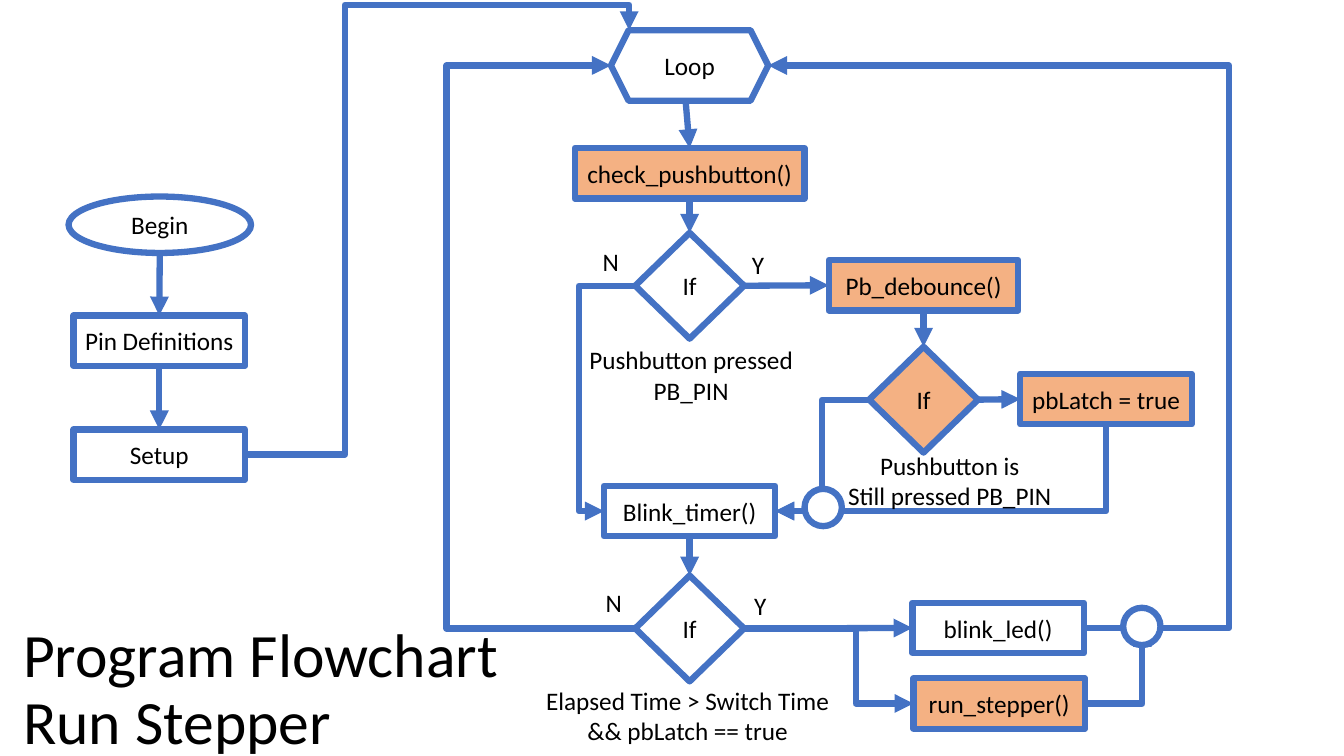
import pptx
import pptx.util
import pptx.dml.color
import pptx.enum.shapes
import pptx.enum.text
import pptx.oxml
import pptx.oxml.ns

Inches = pptx.util.Inches
Shape = pptx.enum.shapes.MSO_SHAPE
Kind = pptx.enum.shapes.MSO_CONNECTOR
Align = pptx.enum.text.PP_ALIGN
Anchor = pptx.enum.text.MSO_ANCHOR
AutoSize = pptx.enum.text.MSO_AUTO_SIZE
qn = pptx.oxml.ns.qn

COLORS = {"line": "4472C4", "plain": "FFFFFF", "stepper": "F4B183", "text": "000000"}
TOP, LEFT, BOTTOM, RIGHT = range(4)
GLUED = (Shape.RECTANGLE, Shape.DIAMOND)


def rgb(name):
    return pptx.dml.color.RGBColor.from_string(COLORS[name])


def side_point(node, side):
    """Middle of one side of a node."""
    across, down = {TOP: (0.5, 0), LEFT: (0, 0.5), BOTTOM: (0.5, 1), RIGHT: (1, 0.5)}[side]
    return int(node.left + across * node.width), int(node.top + down * node.height)


def corner_point(x, y):
    return Inches(x), Inches(y)


class Flowchart:
    font, size, weight = "Calibri", 18, 4.5

    def __init__(self, slide):
        self.slide = slide

    def add_lines(self, frame, lines, align):
        for number, line in enumerate(lines):
            paragraph = frame.paragraphs[0] if number == 0 else frame.add_paragraph()
            paragraph.alignment = align
            self.add_run(paragraph, line, self.size)

    def add_run(self, paragraph, words, size):
        run = paragraph.add_run()
        run.text = words
        run.font.name = self.font
        run.font.size = pptx.util.Pt(size)
        run.font.color.rgb = rgb("text")

    def title(self, lines, left, top, width, height):
        heading = self.slide.shapes.title
        heading.left, heading.top = Inches(left), Inches(top)
        heading.width, heading.height = Inches(width), Inches(height)
        frame = heading.text_frame
        frame.auto_size = AutoSize.NONE
        frame.vertical_anchor = Anchor.MIDDLE
        paragraph = frame.paragraphs[0]
        paragraph.alignment = Align.LEFT
        paragraph.line_spacing = 0.9
        for number, line in enumerate(lines):
            if number:
                paragraph.add_line_break()
            self.add_run(paragraph, line, 44)

    def node(self, label, left, top, width=1.7, height=0.5, outline=Shape.RECTANGLE, fill="plain"):
        node = self.slide.shapes.add_shape(
            outline, Inches(left), Inches(top), Inches(width), Inches(height))
        node.shadow.inherit = False
        node.fill.solid()
        node.fill.fore_color.rgb = rgb(fill)
        node.line.color.rgb = rgb("line")
        node.line.width = pptx.util.Pt(self.weight)
        if label:
            node.text_frame.vertical_anchor = Anchor.MIDDLE
            self.add_lines(node.text_frame, [label], Align.CENTER)
        return node

    def decision(self, left, top, fill="plain"):
        return self.node("If", left, top, 1.08, 1.05, Shape.DIAMOND, fill)

    def junction(self, left, top):
        return self.node("", left, top, 0.37, 0.37, Shape.OVAL)

    def caption(self, lines, left, top, width, height, align=Align.CENTER):
        box = self.slide.shapes.add_textbox(
            Inches(left), Inches(top), Inches(width), Inches(height))
        box.text_frame.word_wrap = False
        box.text_frame.auto_size = AutoSize.SHAPE_TO_FIT_TEXT
        self.add_lines(box.text_frame, lines, align)

    def arrow(self, start, end, bend=None, adjust=()):
        """Join two ends, each a (node, side) pair or a corner_point."""
        ends = [side_point(*e) if hasattr(e[0], "left") else e for e in (start, end)]
        link = self.slide.shapes.add_connector(
            Kind.ELBOW if bend else Kind.STRAIGHT, *ends[0], *ends[1])
        for (target, side), connect in ((start, link.begin_connect), (end, link.end_connect)):
            if hasattr(target, "left") and target.auto_shape_type in GLUED:
                connect(target, side)
        link.line.color.rgb = rgb("line")
        link.line.width = pptx.util.Pt(self.weight)
        properties = link._element.spPr
        head = pptx.oxml.parse_xml(f'<a:tailEnd {pptx.oxml.ns.nsdecls("a")} type="triangle"/>')
        properties.find(qn("a:ln")).append(head)
        properties.append(pptx.oxml.parse_xml(f'<a:effectLst {pptx.oxml.ns.nsdecls("a")}/>'))
        if bend:
            geometry = properties.find(qn("a:prstGeom"))
            geometry.set("prst", f"bentConnector{bend}")
            guides = geometry.find(qn("a:avLst"))
            for number, share in enumerate(adjust, 1):
                guides.append(guides.makeelement(qn("a:gd"), {
                    "name": f"adj{number}", "fmla": f"val {round(share * 100000)}"}))
        return link

    def arrow_down_left(self, start, end):
        """One corner: down first, then left, as a quarter turn."""
        link = self.arrow(start, end, 2)
        left, top, width, height = link.left, link.top, link.width, link.height
        link.left, link.top = left + (width - height) // 2, top + (height - width) // 2
        link.width, link.height = height, width
        frame = link._element.spPr.find(qn("a:xfrm"))
        frame.attrib.pop("flipH", None)
        frame.set("rot", "5400000")


def main():
    deck = pptx.Presentation()
    deck.slide_width, deck.slide_height = Inches(13.33), Inches(7.5)
    chart = Flowchart(deck.slides.add_slide(deck.slide_layouts[5]))
    chart.title(["Program Flowchart", "Run Stepper"], 0.13, 6.04, 5.2, 1.63)

    # Start-up column
    begin = chart.node("Begin", 0.68, 1.95, 1.81, 0.56, Shape.OVAL)
    pins = chart.node("Pin Definitions", 0.73, 3.13)
    setup = chart.node("Setup", 0.73, 4.26)

    # Main loop
    loop = chart.node("Loop", 6.06, 0.3, 1.56, 0.7, Shape.HEXAGON)
    check = chart.node("check_pushbutton()", 5.7, 1.47, 2.28, fill="stepper")
    pressed = chart.decision(6.3, 2.31)
    timer = chart.node("Blink_timer()", 5.99, 4.82)
    elapsed = chart.decision(6.3, 5.71)

    # Debounce branch and outputs
    debounce = chart.node("Pb_debounce()", 8.22, 2.58, 1.88, fill="stepper")
    still_pressed = chart.decision(8.62, 3.44, "stepper")
    latch = chart.node("pbLatch = true", 10.12, 3.71, fill="stepper")
    blink = chart.node("blink_led()", 9.05, 5.98)
    stepper = chart.node("run_stepper()", 9.06, 6.73, fill="stepper")

    # Straight arrows
    for start, end in (
        ((begin, BOTTOM), (pins, TOP)),
        ((pins, BOTTOM), (setup, TOP)),
        (corner_point(6.8, 1), (check, TOP)),
        ((check, BOTTOM), (pressed, TOP)),
        ((pressed, RIGHT), (debounce, LEFT)),
        ((debounce, BOTTOM), (still_pressed, TOP)),
        ((still_pressed, RIGHT), (latch, LEFT)),
        ((timer, BOTTOM), (elapsed, TOP)),
        ((elapsed, RIGHT), (blink, LEFT)),
    ):
        chart.arrow(start, end)

    # Bent arrows
    chart.arrow((setup, RIGHT), corner_point(6.24, 0.3), 4, (0.26, 1.06))
    chart.arrow((blink, RIGHT), (loop, RIGHT), 3, (-0.46,))
    chart.arrow((elapsed, LEFT), (loop, LEFT), 3, (7.79,))
    chart.arrow((pressed, LEFT), (timer, LEFT), 3, (1.8,))
    chart.arrow((still_pressed, LEFT), (timer, RIGHT), 3, (0.5,))
    chart.arrow((elapsed, RIGHT), (stepper, LEFT), 3, (0.66,))
    chart.arrow((stepper, RIGHT), corner_point(11.33, 6.23), 2)
    chart.arrow_down_left((latch, BOTTOM), (timer, RIGHT))

    # Merge points
    chart.junction(7.98, 4.85)
    chart.junction(11.14, 6.03)

    # Conditions and answers
    chart.caption(["Pushbutton pressed", "PB_PIN"], 5.73, 3.37, 2.25, 0.71)
    chart.caption(["Pushbutton is", "Still pressed PB_PIN"], 8.3, 4.42, 2.24, 0.71)
    chart.caption(["Elapsed Time > Switch Time", "&& pbLatch == true"], 5.3, 6.75, 3.04, 0.71)
    for answer, left, top, width in (("Y", 7.36, 2.42, 0.32), ("N", 5.88, 2.39, 0.36),
                                     ("Y", 7.38, 5.81, 0.32), ("N", 5.91, 5.78, 0.36)):
        chart.caption([answer], left, top, width, 0.4, Align.LEFT)

    deck.save("out.pptx")


if __name__ == "__main__":
    main()
